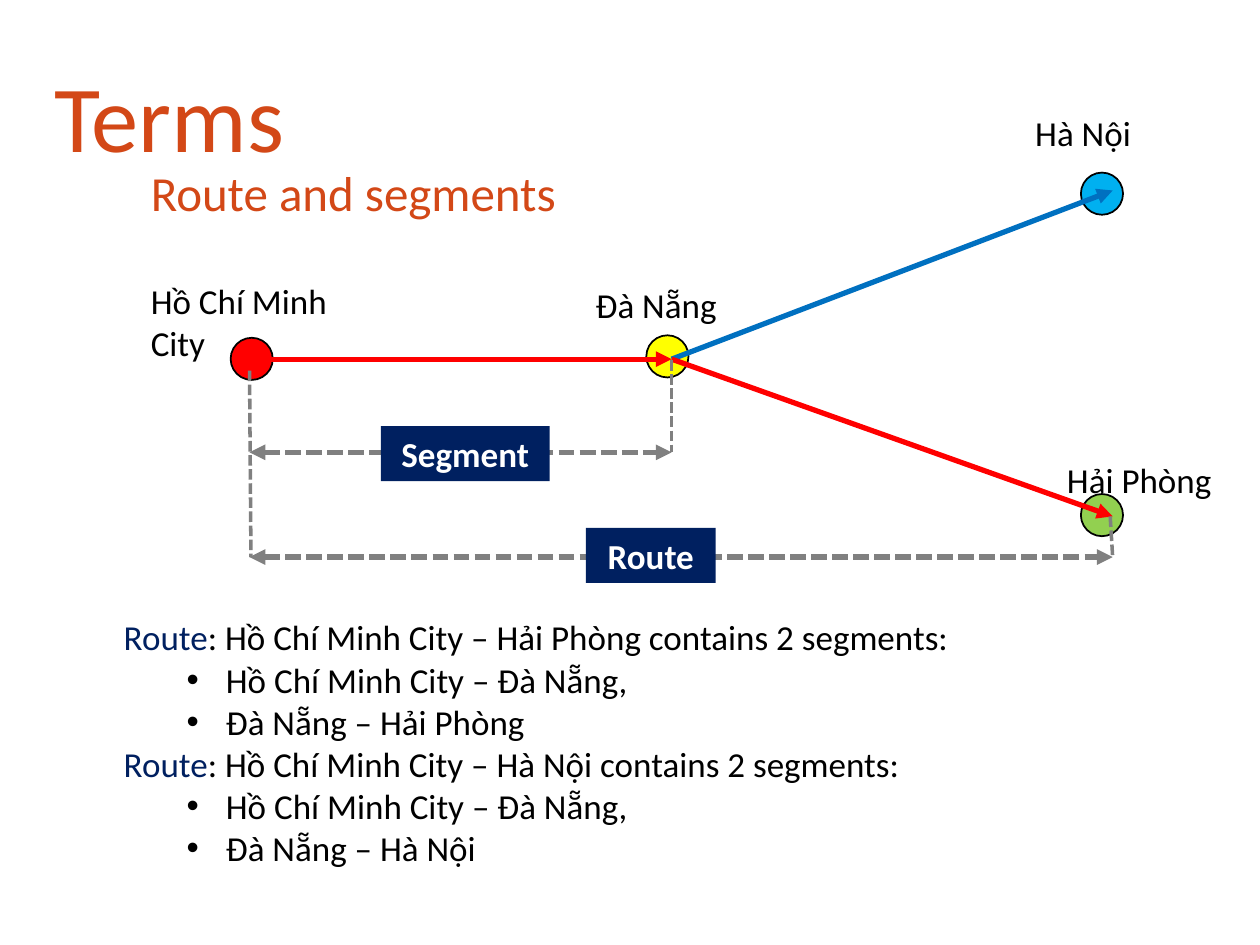
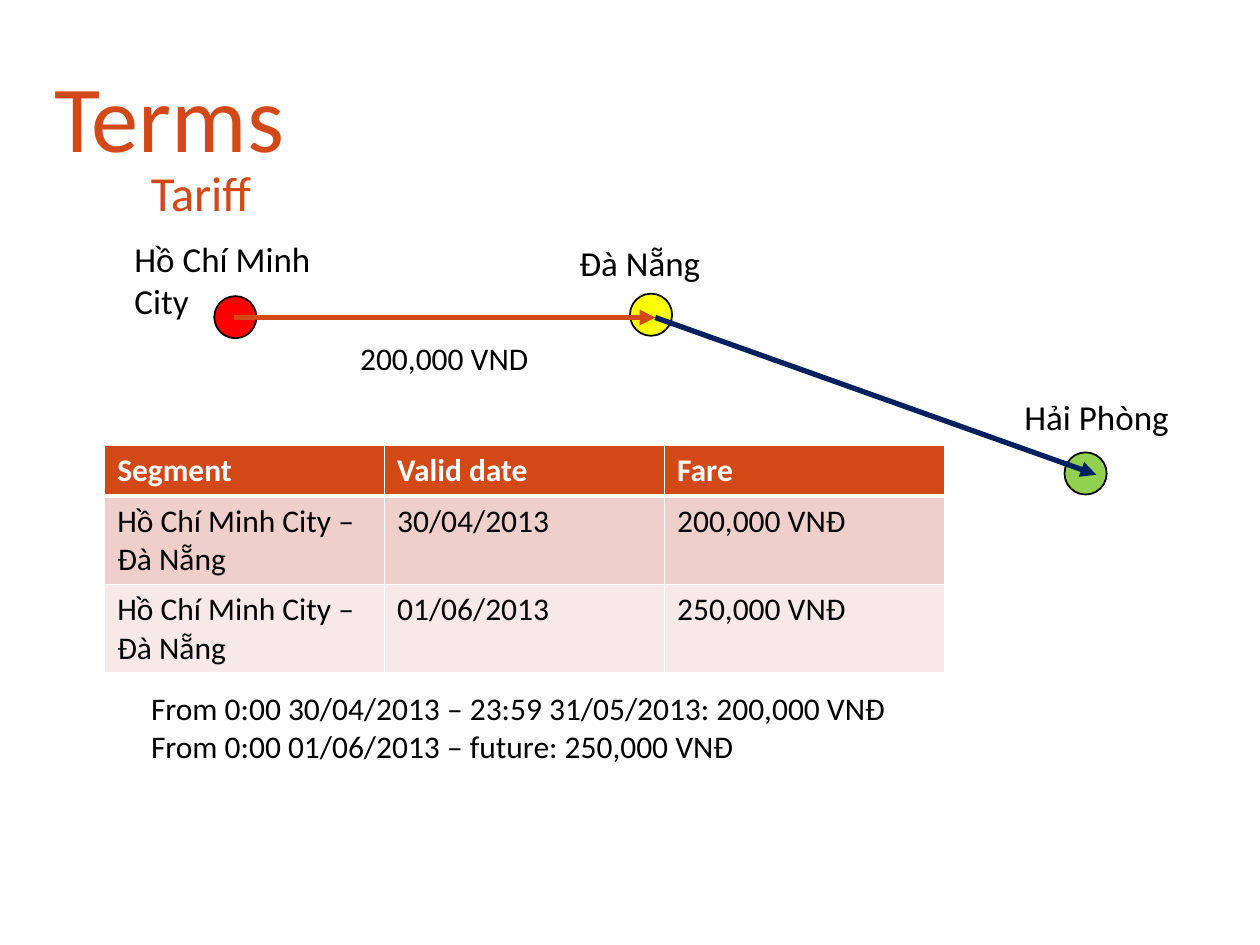
import pptx
import pptx.dml.color
import pptx.enum.dml
import pptx.enum.shapes
import pptx.enum.text
import pptx.oxml.ns
import pptx.oxml.xmlchemy
import pptx.util

Cm, Pt = pptx.util.Cm, pptx.util.Pt
RGB = pptx.dml.color.RGBColor
SHAPE = pptx.enum.shapes.MSO_SHAPE
ALIGN = pptx.enum.text.PP_ALIGN
ANCHOR = pptx.enum.text.MSO_ANCHOR
DASH = pptx.enum.dml.MSO_LINE.SQUARE_DOT
qn = pptx.oxml.ns.qn
OxmlElement = pptx.oxml.xmlchemy.OxmlElement

FONT = "Calibri"
BLACK = RGB(0x00, 0x00, 0x00)
WHITE = RGB(0xFF, 0xFF, 0xFF)
ORANGE = RGB(0xD3, 0x48, 0x17)
NAVY = RGB(0x00, 0x20, 0x60)
RED = RGB(0xFF, 0x00, 0x00)
YELLOW = RGB(0xFF, 0xFF, 0x00)
GREEN = RGB(0x92, 0xD0, 0x50)
SKY = RGB(0x00, 0xB0, 0xF0)
BLUE = RGB(0x00, 0x70, 0xC0)
GRAY = RGB(0x80, 0x80, 0x80)
ROW_FILLS = [ORANGE, RGB(0xEF, 0xCF, 0xCC), RGB(0xF7, 0xE9, 0xE8)]

# Each city in cm: dot corner, dot colour, arrow point, label box
DOT = 0.85
CITIES = {
    "Hồ Chí Minh City": ((4.65, 6.81), RED, (5.05, 7.24), (2.79, 5.51, 4.47, 1.96)),
    "Hải Phòng": ((21.79, 9.96), GREEN, (22.43, 10.41), (21.26, 9.12, 5.08, 1.12)),
    "Hà Nội": ((21.79, 3.48), SKY, (22.43, 3.84), (20.62, 2.13, 3.18, 1.12)),
    "Đà Nẵng": ((13.03, 6.76), YELLOW, (13.54, 7.24), (11.76, 5.59, 3.02, 1.12)),
}


def format_runs(p, size, color, bold=False):
    for r in p.runs:
        r.font.name = FONT
        r.font.size = Pt(size)
        r.font.bold = bold
        r.font.color.rgb = color


def place(sp, x, y, w, h):
    sp.left, sp.top, sp.width, sp.height = Cm(x), Cm(y), Cm(w), Cm(h)


def add_text(slide, text, box, size=20, color=BLACK):
    tf = slide.shapes.add_textbox(*map(Cm, box)).text_frame
    tf.word_wrap = True
    tf.text = text
    format_runs(tf.paragraphs[0], size, color)


def add_shape(slide, kind, box, fill):
    sp = slide.shapes.add_shape(kind, *map(Cm, box))
    sp.shadow.inherit = False
    sp.fill.solid()
    sp.fill.fore_color.rgb = fill
    return sp


def add_line(slide, start, end, color, width, dashed=False, ends=()):
    """Draw a line; ends may name headEnd and tailEnd, in that order."""
    line = slide.shapes.add_connector(
        pptx.enum.shapes.MSO_CONNECTOR.STRAIGHT, *map(Cm, (*start, *end)))
    line.line.color.rgb = color
    line.line.width = Pt(width)
    if dashed:
        line.line.dash_style = DASH
    ln = line.line._get_or_add_ln()
    for end_name in ends:
        arrow = OxmlElement(f"a:{end_name}")
        arrow.set("type", "triangle")
        ln.append(arrow)
    line._element.spPr.append(OxmlElement("a:effectLst"))


def add_tag(slide, text, box):
    sp = add_shape(slide, SHAPE.RECTANGLE, box, NAVY)
    sp.line.fill.background()
    tf = sp.text_frame
    tf.text = text
    tf.vertical_anchor = ANCHOR.MIDDLE
    p = tf.paragraphs[0]
    p.alignment = ALIGN.CENTER
    format_runs(p, 20, WHITE, bold=True)


def add_terms_slide(prs, subtitle):
    slide = prs.slides.add_slide(prs.slide_layouts[1])
    title = slide.shapes.title
    place(title, 0.84, 1.27, 13.13, 2.34)
    tf = title.text_frame
    tf.text = "Terms"
    tf.auto_size = pptx.enum.text.MSO_AUTO_SIZE.NONE
    tf.vertical_anchor = ANCHOR.BOTTOM
    p = tf.paragraphs[0]
    p.alignment = ALIGN.LEFT
    p.line_spacing = 0.9
    format_runs(p, 54, ORANGE)
    add_text(slide, subtitle, (2.79, 3.15, 10.26, 1.45), 28, ORANGE)
    return slide


def fill_body(slide, box, items, size):
    """Write (text, is_bullet) items; a leading "Route" turns navy."""
    body = slide.placeholders[1]
    place(body, *box)
    tf = body.text_frame
    tf.auto_size = pptx.enum.text.MSO_AUTO_SIZE.NONE
    for i, (text, is_bullet) in enumerate(items):
        p = tf.paragraphs[0] if i == 0 else tf.add_paragraph()
        p.space_before = Pt(0)
        p.level = int(is_bullet)
        pPr = p._p.get_or_add_pPr()
        pPr.set("marL", str(Cm(2.06) if is_bullet else 0))
        pPr.set("indent", str(Cm(-0.79) if is_bullet else 0))
        if is_bullet:
            font = OxmlElement("a:buFont")
            font.set("typeface", "Arial")
            bullet = OxmlElement("a:buChar")
            bullet.set("char", "•")
            pPr.extend([font, bullet])
        else:
            pPr.append(OxmlElement("a:buNone"))
        if text.startswith("Route"):
            p.add_run().text = "Route"
            p.add_run().text = text.removeprefix("Route")
        else:
            p.text = text
        format_runs(p, size, BLACK)
        if text.startswith("Route"):
            p.runs[0].font.color.rgb = NAVY


def add_map(slide, names, legs, dx=0, dy=0, moved_labels=None):
    """Draw city dots, then (from, to, colour) legs, then labels."""
    for name in names:
        (x, y), color, _, _ = CITIES[name]
        dot = add_shape(slide, SHAPE.OVAL, (x + dx, y + dy, DOT, DOT), color)
        dot.line.color.rgb = BLACK
        dot.line.width = Pt(1)
    for start, end, color in legs:
        points = [(x + dx, y + dy) for x, y in (CITIES[start][2], CITIES[end][2])]
        add_line(slide, *points, color, 3, ends=["tailEnd"])
    for name in names:
        x, y, w, h = CITIES[name][3]
        x, y = (moved_labels or {}).get(name, (x + dx, y + dy))
        add_text(slide, name, (x, y, w, h))


def set_border(cell, side, width):
    ln = OxmlElement(f"a:{side}")
    ln.set("w", str(Pt(width)))
    fill = OxmlElement("a:solidFill")
    color = OxmlElement("a:srgbClr")
    color.set("val", str(WHITE))
    fill.append(color)
    ln.append(fill)
    return ln


def add_fare_table(slide, rows):
    heights = [1.03, 1.78, 1.78]
    table = slide.shapes.add_table(
        len(rows), len(rows[0]), Cm(2.11), Cm(8.97), Cm(16.93), Cm(sum(heights))).table
    for i, row in enumerate(rows):
        table.rows[i].height = Cm(heights[i])
        for j, text in enumerate(row):
            cell = table.cell(i, j)
            cell.text = text
            format_runs(cell.text_frame.paragraphs[0], 18,
                        BLACK if i else WHITE, bold=i == 0)
            cell.fill.solid()
            cell.fill.fore_color.rgb = ROW_FILLS[i]
            widths = {"lnL": 1, "lnR": 1, "lnT": 3 if i == 1 else 1,
                      "lnB": 3 if i == 0 else 1}
            tcPr = cell._tc.get_or_add_tcPr()
            for k, (side, width) in enumerate(widths.items()):
                tcPr.insert(k, set_border(cell, side, width))


def build_routes(prs):
    slide = add_terms_slide(prs, "Route and segments")
    add_map(slide, CITIES, [("Hồ Chí Minh City", "Đà Nẵng", RED),
                            ("Đà Nẵng", "Hà Nội", BLUE),
                            ("Đà Nẵng", "Hải Phòng", RED)])
    fill_body(slide, (2.24, 12.29, 18.19, 6.25), [
        ("Route: Hồ Chí Minh City – Hải Phòng contains 2 segments:", False),
        ("Hồ Chí Minh City – Đà Nẵng,", True),
        ("Đà Nẵng – Hải Phòng", True),
        ("Route: Hồ Chí Minh City – Hà Nội contains 2 segments:", False),
        ("Hồ Chí Minh City – Đà Nẵng,", True),
        ("Đà Nẵng – Hà Nội", True),
    ], 20)

    # Dimension lines with their tags
    left, middle, right = 5.03, 13.54, 22.43
    segment_y, route_y = 9.12, 11.23
    for start, end in [((left, 7.47), (5.06, route_y)),
                       ((middle, 7.26), (middle, segment_y)),
                       ((22.38, 10.41), (right, route_y))]:
        add_line(slide, start, end, GRAY, 2, dashed=True)
    for end_x, y in [(middle, segment_y), (right, route_y)]:
        add_line(slide, (left, y), (end_x, y), GRAY, 3, dashed=True,
                 ends=["headEnd", "tailEnd"])
    add_tag(slide, "Segment", (7.68, 8.59, 3.4, 1.11))
    add_tag(slide, "Route", (11.81, 10.64, 2.62, 1.11))


def build_tariff(prs):
    slide = add_terms_slide(prs, "Tariff")
    add_map(slide, ["Hồ Chí Minh City", "Hải Phòng", "Đà Nẵng"],
            [("Hồ Chí Minh City", "Đà Nẵng", ORANGE), ("Đà Nẵng", "Hải Phòng", NAVY)],
            dx=-0.33, dy=-0.84, moved_labels={"Hải Phòng": (20.4, 7.85)})
    add_text(slide, "200,000 VND", (7.01, 6.71, 4.5, 1.03), 18)
    add_fare_table(slide, [
        ["Segment", "Valid date", "Fare"],
        ["Hồ Chí Minh City – Đà Nẵng", "30/04/2013", "200,000 VNĐ"],
        ["Hồ Chí Minh City – Đà Nẵng", "01/06/2013", "250,000 VNĐ"],
    ])
    fill_body(slide, (2.79, 13.77, 17.93, 1.8), [
        ("From 0:00 30/04/2013 – 23:59 31/05/2013: 200,000 VNĐ", False),
        ("From 0:00 01/06/2013 – future: 250,000 VNĐ", False),
    ], 18)


def main():
    prs = pptx.Presentation()
    prs.slide_width, prs.slide_height = Cm(25.4), Cm(19.05)
    build_routes(prs)
    build_tariff(prs)
    prs.save("out.pptx")


if __name__ == "__main__":
    main()
